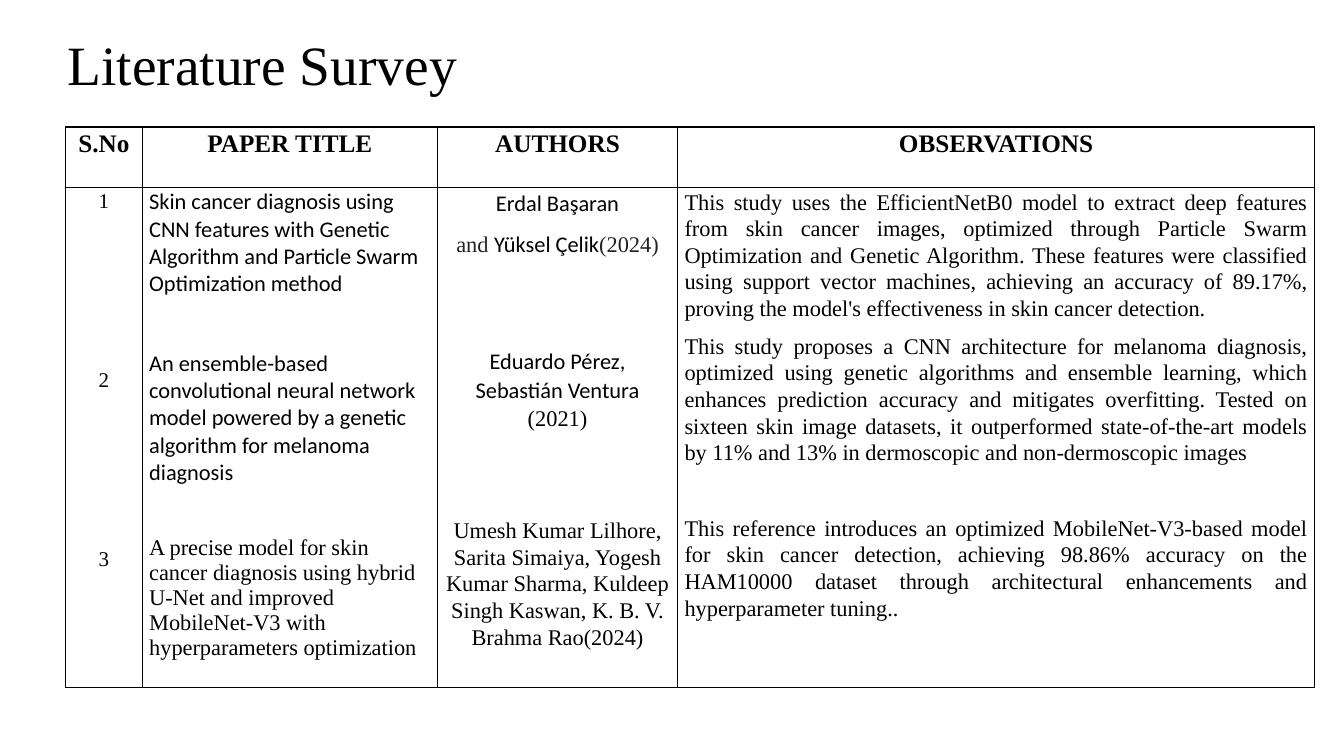
from pptx import Presentation
from pptx import util as u
from pptx.dml.color import RGBColor
from pptx.enum import text
from pptx.oxml import parse_xml
from pptx.oxml.ns import nsdecls

BLACK = RGBColor(0x00, 0x00, 0x00)
CHARCOAL = RGBColor(0x22, 0x22, 0x22)
SERIF, SANS = "Times New Roman", "Calibri"
CENTER, LEFT, JUSTIFY = text.PP_ALIGN.CENTER, text.PP_ALIGN.LEFT, text.PP_ALIGN.JUSTIFY

COLUMN_WIDTHS = [0.76, 2.93, 2.38, 6.32]
ROW_HEIGHTS = [0.6, 4.96]
HEADINGS = ["S.No", "PAPER TITLE", "AUTHORS", "OBSERVATIONS"]

# Each entry: space before in points, then runs of (wording, font, colour).
NUMBERS = [
    (0, [("1", SERIF, BLACK)]),
    (110, [("2", SERIF, BLACK)]),
    (110, [("3", SERIF, BLACK)]),
]
PAPERS = [
    (0, [("Skin cancer diagnosis using CNN features with Genetic Algorithm and "
          "Particle Swarm Optimization method", SANS, BLACK)]),
    (37, [("An ensemble-based convolutional neural network model powered by a "
           "genetic algorithm for melanoma diagnosis", SANS, BLACK)]),
    (35, [("A precise model for skin cancer diagnosis using hybrid U-Net and improved "
           "MobileNet-V3 with hyperparameters optimization", SERIF, BLACK)]),
]
AUTHORS = [
    (0, [("Erdal Başaran", SANS, BLACK)]),
    (8, [("and ", SERIF, CHARCOAL), ("Yüksel Çelik", SANS, BLACK), ("(2024)", SERIF, CHARCOAL)]),
    (63, [("Eduardo Pérez, Sebastián Ventura", SANS, BLACK), (" (2021)", SERIF, BLACK)]),
    (61, [("Umesh Kumar Lilhore, Sarita Simaiya, Yogesh Kumar Sharma, "
           "Kuldeep Singh Kaswan, K. B. V. Brahma Rao(2024)", SERIF, BLACK)]),
]
OBSERVATIONS = [
    (0, [("This study uses the EfficientNetB0 model to extract deep features from skin cancer "
          "images, optimized through Particle Swarm Optimization and Genetic Algorithm. These "
          "features were classified using support vector machines, achieving an accuracy of "
          "89.17%, proving the model's effectiveness in skin cancer detection.", SERIF, BLACK)]),
    (8, [("This study proposes a CNN architecture for melanoma diagnosis, optimized using "
          "genetic algorithms and ensemble learning, which enhances prediction accuracy and "
          "mitigates overfitting. Tested on sixteen skin image datasets, it outperformed "
          "state-of-the-art models by 11% and 13% in dermoscopic and non-dermoscopic images",
          SERIF, BLACK)]),
    (35, [("This reference introduces an optimized MobileNet-V3-based model for skin cancer "
           "detection, achieving 98.86% accuracy on the HAM10000 dataset through architectural "
           "enhancements and hyperparameter tuning..", SERIF, BLACK)]),
]
SURVEY = [
    (NUMBERS, 15, CENTER, 1.07),
    (PAPERS, 16, LEFT, 1),
    (AUTHORS, 16, CENTER, 1.07),
    (OBSERVATIONS, 16, JUSTIFY, 1.07),
]


def set_font(font, name, color):
    font.name = name
    font.color.rgb = color


def style_cell(cell):
    cell.margin_left = cell.margin_right = u.Inches(0.07)
    cell.margin_top = u.Inches(0.01)
    cell.margin_bottom = 0
    cell.vertical_anchor = text.MSO_ANCHOR.TOP
    cell.fill.background()
    properties = cell._tc.get_or_add_tcPr()
    for index, side in enumerate(["lnL", "lnR", "lnT", "lnB"]):
        properties.insert(index, parse_xml(
            f'<a:{side} {nsdecls("a")} w="{u.Pt(1)}"><a:solidFill>'
            f'<a:srgbClr val="{BLACK}"/></a:solidFill></a:{side}>'))


def fill_cell(cell, entries, size, alignment, line_spacing, bold=False):
    style_cell(cell)
    frame = cell.text_frame
    for index, (space_before, runs) in enumerate(entries):
        paragraph = frame.paragraphs[0] if index == 0 else frame.add_paragraph()
        paragraph.alignment = alignment
        paragraph.line_spacing = line_spacing
        paragraph.space_before = u.Pt(space_before)
        paragraph.space_after = u.Pt(0)
        paragraph.font.size = u.Pt(size)
        paragraph.font.bold = bold
        if len(runs) == 1:
            set_font(paragraph.font, *runs[0][1:])
        for wording, name, color in runs:
            run = paragraph.add_run()
            run.text = wording
            if len(runs) > 1:
                set_font(run.font, name, color)


def add_title(slide, left, top, width, height):
    title = slide.shapes.title
    title.left, title.top, title.width, title.height = left, top, width, height
    frame = title.text_frame
    frame.text = "Literature Survey"
    frame.auto_size = text.MSO_AUTO_SIZE.NONE
    frame.vertical_anchor = text.MSO_ANCHOR.MIDDLE
    paragraph = frame.paragraphs[0]
    paragraph.alignment = LEFT
    paragraph.line_spacing = 0.9
    paragraph.font.size = u.Pt(39.6)
    set_font(paragraph.font, SERIF, BLACK)


def add_survey_table(slide, left, top, width, height):
    table = slide.shapes.add_table(
        len(ROW_HEIGHTS), len(COLUMN_WIDTHS), left, top, width, height).table
    table.first_row = table.horz_banding = False
    for column, share in zip(table.columns, COLUMN_WIDTHS):
        column.width = int(width * share / sum(COLUMN_WIDTHS))
    for row, share in zip(table.rows, ROW_HEIGHTS):
        row.height = int(height * share / sum(ROW_HEIGHTS))
    for index, (heading, content) in enumerate(zip(HEADINGS, SURVEY)):
        fill_cell(table.cell(0, index), [(0, [(heading, SERIF, BLACK)])], 18, CENTER, 1.07, True)
        fill_cell(table.cell(1, index), *content)


def main():
    presentation = Presentation()
    presentation.slide_width = u.Inches(13.33)
    presentation.slide_height = u.Inches(7.5)
    slide = presentation.slides.add_slide(presentation.slide_layouts[5])
    add_title(slide, u.Inches(0.57), u.Inches(0.4), u.Inches(11.85), u.Inches(0.55))
    add_survey_table(slide, u.Inches(0.65), u.Inches(1.26), u.Inches(12.39), u.Inches(5.56))
    presentation.save("out.pptx")


if __name__ == "__main__":
    main()
